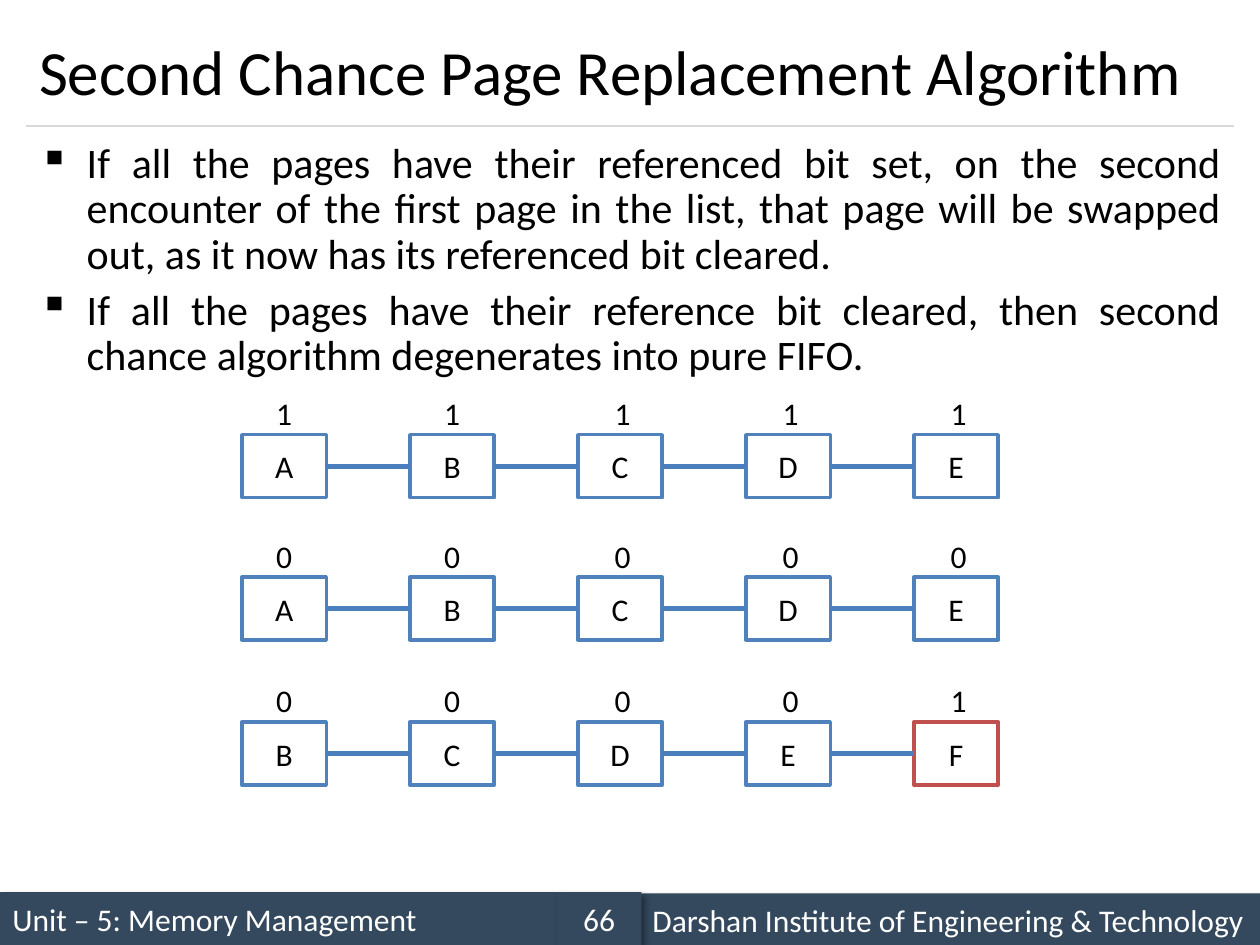
from lxml import etree
from pptx import Presentation
from pptx.dml.color import RGBColor
from pptx.enum import shapes, text
from pptx.oxml import ns
from pptx.util import Inches, Pt

FONT = "Calibri"
BLACK = RGBColor(0x00, 0x00, 0x00)
WHITE = RGBColor(0xFF, 0xFF, 0xFF)
NAVY = RGBColor(0x34, 0x49, 0x5E)
RULE_GREY = RGBColor(0xD9, 0xD9, 0xD9)
BLUE = RGBColor(0x4F, 0x81, 0xBD)
LINK_BLUE = RGBColor(0x4B, 0x7E, 0xBC)
RED = RGBColor(0xC0, 0x50, 0x4D)

TITLE = "Second Chance Page Replacement Algorithm"
POINTS = [
    "If all the pages have their referenced bit set, on the second encounter of the "
    "first page in the list, that page will be swapped out, as it now has its "
    "referenced bit cleared.",
    "If all the pages have their reference bit cleared, then second chance algorithm "
    "degenerates into pure FIFO.",
]
CHAINS = [(3.45, "ABCDE", "11111"), (4.58, "ABCDE", "00000"), (5.73, "BCDEF", "00001")]
NEW_PAGE = "F"
FOOTERS = [
    (0, 7.08, 4.42, "Unit – 5: Memory Management", text.PP_ALIGN.LEFT),
    (5.08, 7.09, 4.92, "Darshan Institute of Engineering & Technology", text.PP_ALIGN.LEFT),
    (4.42, 7.08, 0.67, "66", text.PP_ALIGN.CENTER),
]


def add_run(p, words, size, color=BLACK):
    r = p.add_run()
    r.text = words
    r.font.name = FONT
    r.font.size = Pt(size)
    r.font.color.rgb = color


def add_line(s, x1, x2, y, color, width):
    line = s.shapes.add_connector(
        shapes.MSO_CONNECTOR.STRAIGHT, Inches(x1), Inches(y), Inches(x2), Inches(y))
    line.line.color.rgb = color
    line.line.width = Pt(width)
    etree.SubElement(line._element.spPr, ns.qn("a:effectLst"))


def add_box(s, x, y, w, h, words, fill, color, align):
    sp = s.shapes.add_shape(
        shapes.MSO_SHAPE.RECTANGLE, Inches(x), Inches(y), Inches(w), Inches(h))
    sp.shadow.inherit = False
    sp.fill.solid()
    sp.fill.fore_color.rgb = fill
    tf = sp.text_frame
    tf.vertical_anchor = text.MSO_ANCHOR.MIDDLE
    tf.paragraphs[0].alignment = align
    add_run(tf.paragraphs[0], words, 18, color)
    return sp


def add_shadow(sp):
    effects = sp._element.spPr.find(ns.qn("a:effectLst"))
    shadow = etree.SubElement(
        effects, ns.qn("a:outerShdw"), blurRad=str(Pt(4)), dist=str(Pt(3)),
        dir="2700000", algn="tl", rotWithShape="0")
    color = etree.SubElement(shadow, ns.qn("a:srgbClr"), val=str(BLACK))
    etree.SubElement(color, ns.qn("a:alpha"), val="40000")


def add_footer(s):
    for x, y, w, words, align in FOOTERS:
        sp = add_box(s, x, y, w, 0.42, words, NAVY, WHITE, align)
        sp.line.fill.background()
        add_shadow(sp)


def add_title(s, x, y, w, h):
    sp = s.shapes.title
    sp.left, sp.top, sp.width, sp.height = map(Inches, (x, y, w, h))
    tf = sp.text_frame
    tf.word_wrap = True
    tf.vertical_anchor = text.MSO_ANCHOR.MIDDLE
    p = tf.paragraphs[0]
    p.alignment = text.PP_ALIGN.LEFT
    add_run(p, TITLE, 36)
    add_line(s, x, x + w, y + h, RULE_GREY, 0.75)


def add_points(s, x, y, w, h):
    tf = s.shapes.add_textbox(Inches(x), Inches(y), Inches(w), Inches(h)).text_frame
    tf.word_wrap = True
    for i, point in enumerate(POINTS):
        p = tf.add_paragraph() if i else tf.paragraphs[0]
        p.alignment = text.PP_ALIGN.JUSTIFY
        p.line_spacing = 0.9
        p.space_before = Pt(6 if i else 0)
        pPr = p._p.get_or_add_pPr()
        pPr.set("marL", str(Inches(0.38)))
        pPr.set("indent", str(Inches(-0.38)))
        etree.SubElement(pPr, ns.qn("a:buChar"), char="▪")
        add_run(p, point, 24)


def add_bit(s, x, y, bit):
    tf = s.shapes.add_textbox(Inches(x), Inches(y), Inches(0.33), Inches(0.4)).text_frame
    tf.word_wrap = True
    tf.margin_left = tf.margin_right = 0
    tf.paragraphs[0].alignment = text.PP_ALIGN.CENTER
    add_run(tf.paragraphs[0], bit, 18)


def add_chain(s, x, y, pages, bits):
    w, h, pitch = 0.67, 0.5, 4 / 3
    for i, (page, bit) in enumerate(zip(pages, bits)):
        left = x + i * pitch
        sp = add_box(s, left, y, w, h, page, WHITE, BLACK, text.PP_ALIGN.CENTER)
        sp.line.color.rgb = RED if page == NEW_PAGE else BLUE
        sp.line.width = Pt(2)
        if i:
            add_line(s, left - pitch + w, left, y + h / 2, LINK_BLUE, 3)
        add_bit(s, left + (0.17 if i < 2 else 0.19), y - 0.37, bit)


def main():
    prs = Presentation()
    prs.slide_width, prs.slide_height = Inches(10), Inches(7.5)
    s = prs.slides.add_slide(prs.slide_layouts[5])
    add_footer(s)
    add_title(s, 0.21, 0.12, 9.58, 0.88)
    add_points(s, 0.21, 1.08, 9.58, 1.95)
    for y, pages, bits in CHAINS:
        add_chain(s, 1.92, y, pages, bits)
    prs.save("out.pptx")


if __name__ == "__main__":
    main()
